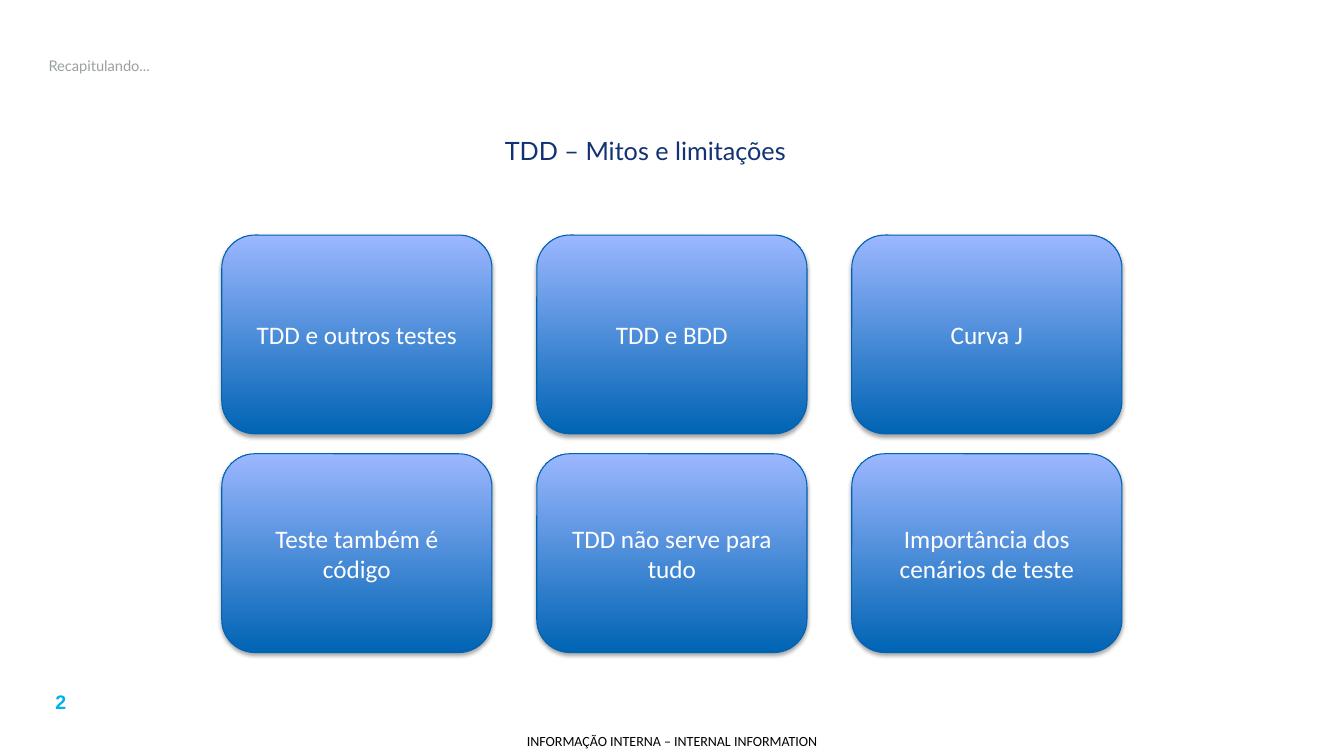
from lxml import etree
from pptx import Presentation
from pptx.dml.color import RGBColor
from pptx.enum.shapes import MSO_SHAPE
from pptx.enum.text import MSO_ANCHOR, MSO_AUTO_SIZE, PP_ALIGN
from pptx.oxml import parse_xml
from pptx.oxml.ns import nsdecls, qn
from pptx.util import Pt

ROUNDED = MSO_SHAPE.ROUNDED_RECTANGLE
MIDDLE, TOP = MSO_ANCHOR.MIDDLE, MSO_ANCHOR.TOP
LEFT, CENTER = PP_ALIGN.LEFT, PP_ALIGN.CENTER
NO_FIT = MSO_AUTO_SIZE.NONE

THEME = {
    "title": ("Lato", 10.5, "9BA0A0", False),
    "heading": ("Lato", 18, "123274", False),
    "card": ("Calibri", 18, "FFFFFF", False),
    "number": ("Arial", 14, "00B0F0", True),
    "footer": ("Calibri", 10, "000000", False),
    "card_bottom": "0064B4",
    "card_top": "9BB7FF",
    "card_line": "0062B0",
}


def write(shape, text, style, align=CENTER, anchor=MIDDLE):
    tf = shape.text_frame
    tf.word_wrap = True
    tf.auto_size = NO_FIT
    tf.vertical_anchor = anchor
    p = tf.paragraphs[0]
    p.text = text
    p.alignment = align
    name, size, color, bold = THEME[style]
    p.font.name, p.font.size, p.font.bold = name, Pt(size), bold
    p.font.color.rgb = RGBColor.from_string(color)
    return tf


prs = Presentation()
prs.slide_width, prs.slide_height = Pt(960), Pt(540)
s = prs.slides.add_slide(prs.slide_layouts[5])

title = s.shapes.title
title.left, title.top, title.width, title.height = Pt(27.5), Pt(29.5), Pt(855), Pt(34.5)
write(title, "Recapitulando...", "title", LEFT)

heading = s.shapes.add_textbox(Pt(26.5), Pt(83), Pt(869), Pt(49.5))
write(heading, "TDD – Mitos e limitações", "heading")

CARDS = [
    ["TDD e outros testes", "TDD e BDD", "Curva J"],
    ["Teste também é código", "TDD não serve para tudo", "Importância dos cenários de teste"],
]
SHADOW = (
    f'<a:outerShdw {nsdecls("a")} blurRad="{Pt(3.1)}" dist="{Pt(1.8)}" dir="5400000" rotWithShape="0">'
    '<a:srgbClr val="000000"><a:alpha val="35000"/></a:srgbClr></a:outerShdw>'
)
for row, labels in enumerate(CARDS):
    for col, label in enumerate(labels):
        card = s.shapes.add_shape(
            ROUNDED, Pt(158.4 + 225 * col), Pt(167.9 + 156.2 * row), Pt(193), Pt(142))
        card.fill.gradient()
        card.fill.gradient_angle = 90
        for stop, key in zip(card.fill.gradient_stops, ("card_bottom", "card_top")):
            stop.color.rgb = RGBColor.from_string(THEME[key])
        card.line.color.rgb = RGBColor.from_string(THEME["card_line"])
        card.line.width = Pt(0.75)
        card.shadow.inherit = False
        effects = card._element.spPr.find(qn("a:effectLst"))
        effects.append(parse_xml(SHADOW))
        write(card, label, "card")

number = s.shapes.add_textbox(Pt(15), Pt(489.6), Pt(57), Pt(24.5))
write(number, "2", "number", anchor=TOP)

footer = s.shapes.add_textbox(Pt(362), Pt(519), Pt(236), Pt(21))
tf = write(footer, "INFORMAÇÃO INTERNA – INTERNAL INFORMATION", "footer")
tf.margin_left = tf.margin_right = tf.margin_top = tf.margin_bottom = 0

prs.save("out.pptx")
